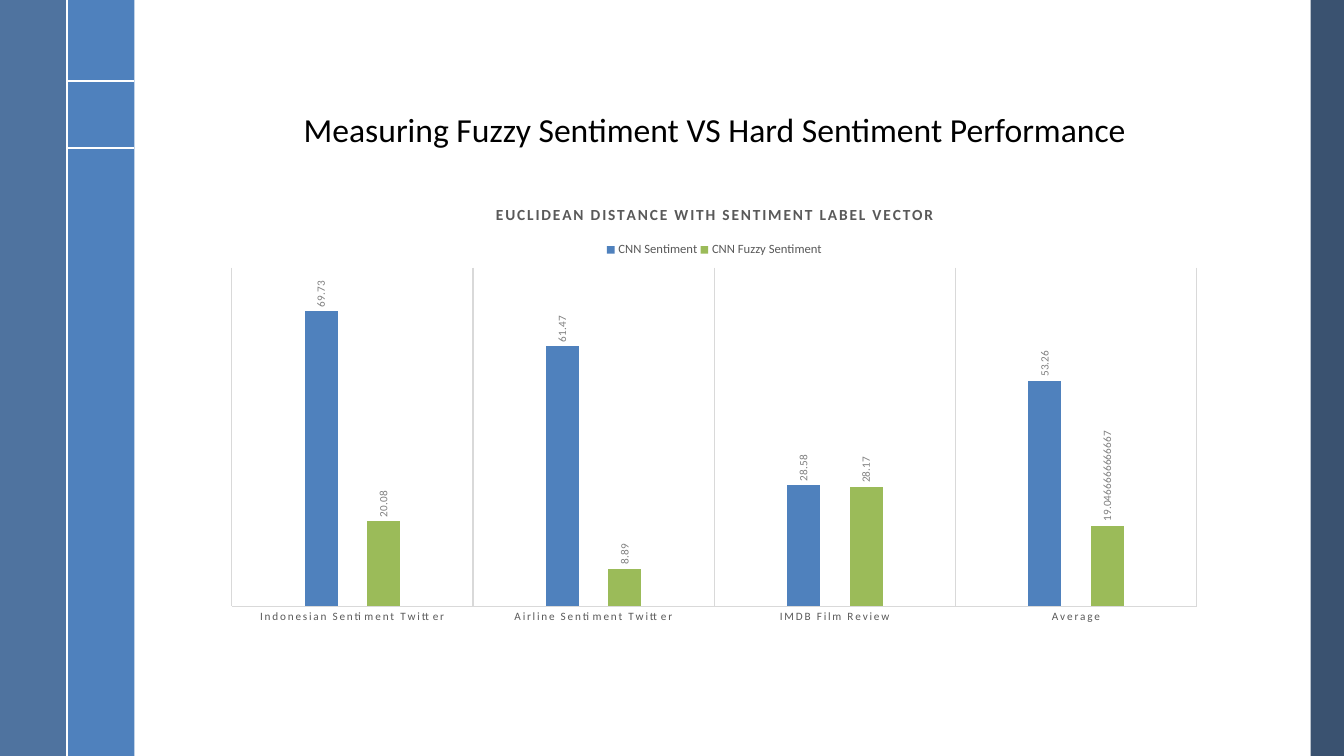
from lxml import etree
from pptx import Presentation
from pptx.chart.data import CategoryChartData
from pptx.dml.color import RGBColor
from pptx.enum.chart import XL_CHART_TYPE as ChartType
from pptx.enum.chart import XL_LABEL_POSITION as LabelPosition
from pptx.enum.chart import XL_LEGEND_POSITION as LegendPosition
from pptx.enum.chart import XL_TICK_LABEL_POSITION as TickLabelPosition
from pptx.enum.chart import XL_TICK_MARK as TickMark
from pptx.enum.shapes import MSO_CONNECTOR as Connector
from pptx.enum.shapes import MSO_SHAPE as Shape
from pptx.enum.text import MSO_ANCHOR as Anchor
from pptx.enum.text import PP_ALIGN as Align
from pptx.oxml.ns import qn
from pptx.util import Inches, Pt

TITLE = "Measuring Fuzzy Sentiment VS Hard Sentiment Performance"
CHART_TITLE = "EUCLIDEAN DISTANCE WITH SENTIMENT LABEL VECTOR"
CATEGORIES = ["Indonesian Sentiment Twitter", "Airline Sentiment Twitter", "IMDB Film Review", "Average"]
SERIES = [
    ("CNN Sentiment", "blue", (69.73, 61.47, 28.58, 53.26)),
    ("CNN Fuzzy Sentiment", "green", (20.08, 8.89, 28.17, 19.05)),
]
FUZZY_AVERAGE_LABEL = "19.0466666666667"
COLORS = {
    "blue": "4F81BD", "green": "9BBB59", "navy": "254061", "steel": "376092",
    "white": "FFFFFF", "black": "000000", "text": "595959", "label": "808080", "grid": "D9D9D9",
}
FONT = "Calibri"
WIDTH, HEIGHT, BAND = 13.33, 7.5, 2 / 3
BANDS = [(13, 0.33, "navy", 90), (BAND, BAND, "blue", 100), (0, BAND, "steel", 88)]
RULES = [(BAND, 0.8, 2 * BAND, 0.8), (BAND, 1.47, 2 * BAND, 1.47), (BAND, 0, BAND, HEIGHT)]


def color(name):
    return RGBColor.from_string(COLORS[name])


def style_font(font, size, name, bold=False):
    font.name, font.size, font.bold = FONT, Pt(size), bold
    font.color.rgb = color(name)


def style_line(line, name, width):
    line.color.rgb = color(name)
    line.width = Pt(width)


def add_band(slide, left, width, name, opacity):
    band = slide.shapes.add_shape(Shape.RECTANGLE, Inches(left), 0, Inches(width), Inches(HEIGHT))
    band.shadow.inherit = False
    band.fill.solid()
    band.fill.fore_color.rgb = color(name)
    band.line.fill.background()
    if opacity < 100:
        fill = band._element.spPr.find(qn("a:solidFill"))
        etree.SubElement(fill[0], qn("a:alpha"), val=str(opacity * 1000))


def add_rule(slide, ends):
    rule = slide.shapes.add_connector(Connector.STRAIGHT, *[Inches(end) for end in ends])
    style_line(rule.line, "white", 1.5)
    etree.SubElement(rule._element.spPr, qn("a:effectLst"))


def place(element, index, inner=False, **fractions):
    for old in element.findall(qn("c:layout")):
        element.remove(old)
    layout = etree.Element(qn("c:layout"))
    element.insert(index, layout)
    manual = etree.SubElement(layout, qn("c:manualLayout"))
    if inner:
        etree.SubElement(manual, qn("c:layoutTarget"), val="inner")
    for mode in ("xMode", "yMode"):
        etree.SubElement(manual, qn("c:" + mode), val="edge")
    for key, value in fractions.items():
        etree.SubElement(manual, qn("c:" + key), val=str(value))


def turn_upright(element):
    body = element.find(".//" + qn("a:bodyPr"))
    body.set("rot", "-5400000")
    body.set("vert", "horz")


def add_title(slide):
    box = slide.shapes.add_textbox(Inches(1.74), Inches(0.18), Inches(10.7), Inches(1.36))
    frame = box.text_frame
    frame.word_wrap = True
    frame.vertical_anchor = Anchor.BOTTOM
    frame.text = TITLE
    paragraph = frame.paragraphs[0]
    paragraph.alignment = Align.CENTER
    paragraph.line_spacing = 0.9
    style_font(paragraph.runs[0].font, 24, "black")


def add_chart(slide):
    data = CategoryChartData()
    data.categories = CATEGORIES
    for name, _, values in SERIES:
        data.add_series(name, values)
    chart = slide.shapes.add_chart(
        ChartType.COLUMN_CLUSTERED, Inches(2.1), Inches(1.86), Inches(9.97), Inches(4.42), data
    ).chart
    style_font(chart.font, 10, "black")

    chart.has_title = True
    chart.chart_title.text_frame.text = CHART_TITLE
    title_run = chart.chart_title.text_frame.paragraphs[0].runs[0]
    style_font(title_run.font, 11, "text", True)
    title_run.font._element.set("spc", "120")
    place(chart.chart_title._element, 1, x=0.28, y=0.03)

    chart.has_legend = True
    chart.legend.position = LegendPosition.TOP
    chart.legend.include_in_layout = False
    style_font(chart.legend.font, 9, "text")
    place(chart.legend._element, 1, x=0.39, y=0.11, w=0.22, h=0.06)

    value_axis = chart.value_axis
    value_axis.minimum_scale, value_axis.maximum_scale = 0, 80
    value_axis.has_major_gridlines = False
    value_axis.visible = False

    category_axis = chart.category_axis
    category_axis.major_tick_mark = TickMark.NONE
    category_axis.tick_label_position = TickLabelPosition.NEXT_TO_AXIS
    category_axis.has_major_gridlines = True
    for line in (category_axis.format.line, category_axis.major_gridlines.format.line):
        style_line(line, "grid", 0.75)
    style_font(category_axis.tick_labels.font, 8, "text")
    category_axis.tick_labels.font._element.set("spc", "120")
    category_axis.tick_labels.offset = 0

    plot = chart.plots[0]
    plot.vary_by_categories = False
    plot.gap_width, plot.overlap = 444, -90
    for series, (_, name, _) in zip(plot.series, SERIES):
        series.format.fill.solid()
        series.format.fill.fore_color.rgb = color(name)
        labels = series.data_labels
        labels.show_value = True
        labels.position = LabelPosition.OUTSIDE_END
        style_font(labels.font, 8, "label")
        turn_upright(labels._element)

    average_label = plot.series[1].points[3].data_label
    average_label.text_frame.text = FUZZY_AVERAGE_LABEL
    average_label.position = LabelPosition.OUTSIDE_END
    style_font(average_label.text_frame.paragraphs[0].runs[0].font, 8, "label")
    turn_upright(average_label.text_frame._element.getparent())

    plot_area = chart._chartSpace.find(".//" + qn("c:plotArea"))
    place(plot_area, 0, True, x=0.02, y=0.18, w=0.96, h=0.76)


def main():
    presentation = Presentation()
    presentation.slide_width, presentation.slide_height = Inches(WIDTH), Inches(HEIGHT)
    slide = presentation.slides.add_slide(presentation.slide_layouts[6])
    for band in BANDS:
        add_band(slide, *band)
    for ends in RULES:
        add_rule(slide, ends)
    add_title(slide)
    add_chart(slide)
    presentation.save("out.pptx")


if __name__ == "__main__":
    main()
